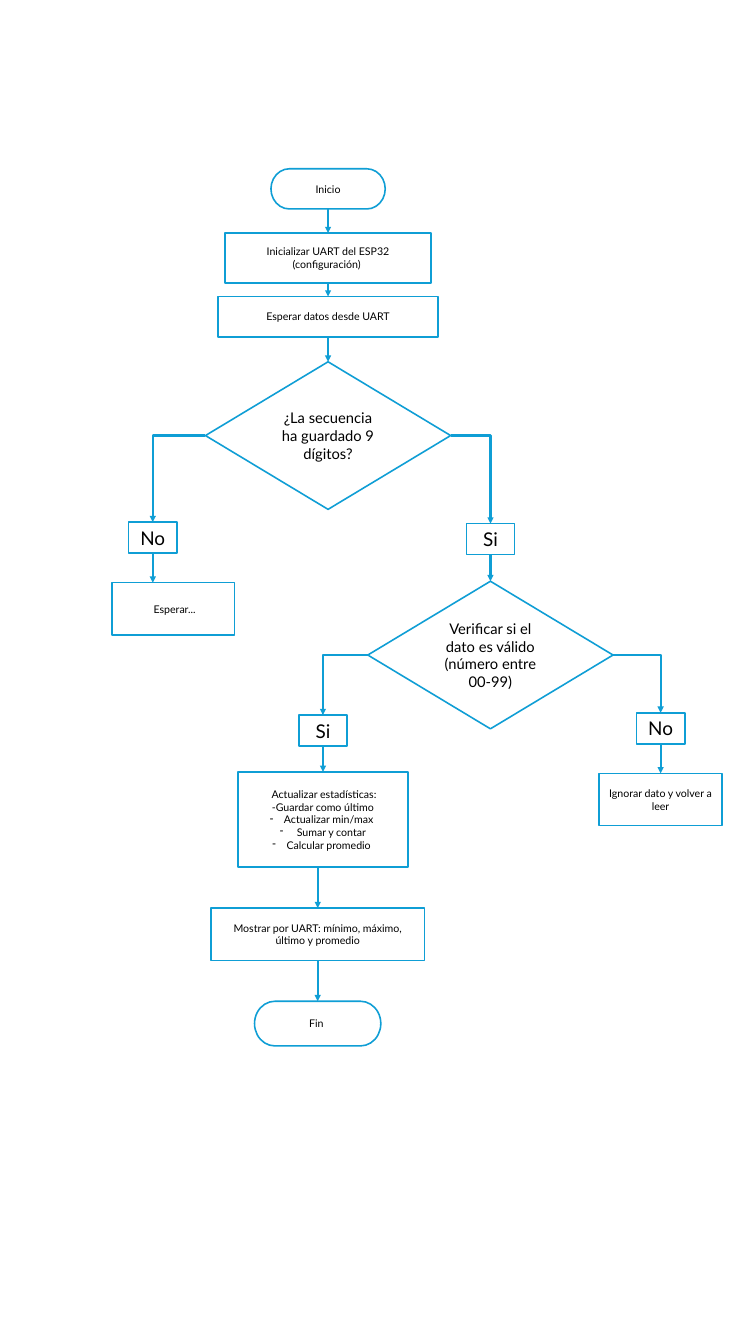
from dataclasses import dataclass
from lxml import etree
from pptx import Presentation
from pptx.dml.color import RGBColor
from pptx.enum import shapes, text
from pptx.oxml import ns
from pptx.util import Pt


@dataclass(frozen=True)
class Theme:
    font: str = "Lato"
    ink: str = "000000"
    paper: str = "FFFFFF"
    blue: str = "0F9ED5"
    small: float = 10.1
    body: float = 14
    large: float = 18
    edge: float = 1.5
    arrow: float = 2


@dataclass(frozen=True)
class Box:
    left: float
    top: float
    width: float
    height: float

    @property
    def mid(self):
        return self.left + self.width / 2


THEME = Theme()
PROCESS = shapes.MSO_SHAPE.FLOWCHART_PROCESS
ROUND = shapes.MSO_SHAPE.FLOWCHART_TERMINATOR
CHOICE = shapes.MSO_SHAPE.FLOWCHART_DECISION
STRAIGHT = shapes.MSO_CONNECTOR.STRAIGHT
ELBOW = shapes.MSO_CONNECTOR.ELBOW
TOP, LEFT, BOTTOM, RIGHT = range(4)
LABEL = (46, 29.5)
NOTE = (116.6, 49.7)
DIAMOND = (233.3, 140.4)


def write(shape, lines, size=THEME.small, first=None):
    frame = shape.text_frame
    frame.word_wrap = True
    frame.vertical_anchor = text.MSO_ANCHOR.MIDDLE
    for i, line in enumerate(lines):
        para = frame.paragraphs[0] if i == 0 else frame.add_paragraph()
        para.alignment = text.PP_ALIGN.CENTER
        run = para.add_run()
        run.text = line
        run.font.name = THEME.font
        run.font.size = Pt(size)
        run.font.color.rgb = RGBColor.from_string(THEME.ink)
        if first is not None and i >= first:
            props = para._p.get_or_add_pPr()
            props.set("marL", str(Pt(13.5)))
            props.set("indent", str(-Pt(13.5)))
            etree.SubElement(props, ns.qn("a:buChar")).set("char", "-")


def node(slide, kind, mid, top, area, *lines, **style):
    width, height = area
    shape = slide.shapes.add_shape(
        kind, Pt(mid - width / 2), Pt(top), Pt(width), Pt(height))
    shape.shadow.inherit = False
    shape.fill.solid()
    shape.fill.fore_color.rgb = RGBColor.from_string(THEME.paper)
    shape.line.color.rgb = RGBColor.from_string(THEME.blue)
    shape.line.width = Pt(THEME.edge)
    write(shape, lines, **style)
    return shape


def center(shape):
    return shape.left + shape.width // 2


def link(slide, kind, *points):
    wire = slide.shapes.add_connector(kind, *points)
    wire.line.color.rgb = RGBColor.from_string(THEME.blue)
    wire.line.width = Pt(THEME.arrow)
    head = etree.SubElement(wire.line._get_or_add_ln(), ns.qn("a:tailEnd"))
    head.set("type", "triangle")
    etree.SubElement(wire._element.spPr, ns.qn("a:effectLst"))
    return wire


def drop(slide, upper, lower, at=None):
    x = center(at or upper)
    wire = link(slide, STRAIGHT, x, upper.top + upper.height, x, lower.top)
    if abs(center(upper) - x) < Pt(2):
        wire.begin_connect(upper, BOTTOM)
    if abs(center(lower) - x) < Pt(2):
        wire.end_connect(lower, TOP)


def branch(slide, choice, label, side):
    x = choice.left + (choice.width if side == RIGHT else 0)
    y = choice.top + choice.height // 2
    wire = link(slide, ELBOW, x, y, center(label), label.top)
    wire._element.spPr.find(ns.qn("a:prstGeom")).set("prst", "bentConnector2")
    wire.begin_connect(choice, side)
    wire.end_connect(label, TOP)


def intro(slide, box):
    start = node(slide, ROUND, box.mid, box.top, (108.7, 38.2), "Inicio")
    setup = node(slide, PROCESS, box.mid, box.top + 61.2, (195.8, 47.5),
                 "Inicializar UART del ESP32 (configuración) ")
    wait = node(slide, PROCESS, box.mid, box.top + 121.6, (209.5, 38.2),
                "Esperar datos desde UART")
    choice = node(slide, CHOICE, box.mid, box.top + 183.6, DIAMOND,
                  "¿La secuencia ha guardado 9 dígitos?", size=THEME.body)
    drop(slide, start, setup)
    drop(slide, setup, wait)
    drop(slide, wait, choice)
    return choice


def pending(slide, box, choice):
    label = node(slide, PROCESS, box.mid - 19.5, box.top, LABEL, "No",
                 size=THEME.large)
    wait = node(slide, PROCESS, box.mid, box.top + 57.6, NOTE, " Esperar...")
    branch(slide, choice, label, LEFT)
    drop(slide, label, wait)


def verify(slide, box, choice):
    label = node(slide, PROCESS, box.mid, box.top, LABEL, "Si",
                 size=THEME.large)
    valid = node(slide, CHOICE, box.mid, box.top + 54.8, DIAMOND,
                 "Verificar si el dato es válido (número entre 00-99)",
                 size=THEME.body)
    branch(slide, choice, label, RIGHT)
    drop(slide, label, valid)
    return valid


def ignore(slide, box, choice):
    label = node(slide, PROCESS, box.mid, box.top, LABEL, "No",
                 size=THEME.large)
    skip = node(slide, PROCESS, box.mid, box.top + 57.6, NOTE,
                "Ignorar dato y volver a leer")
    branch(slide, choice, label, RIGHT)
    drop(slide, label, skip)


def result(slide, box, choice):
    label = node(slide, PROCESS, box.mid + 5, box.top, LABEL, "Si",
                 size=THEME.large)
    stats = node(slide, PROCESS, box.mid + 5, box.top + 54, (161.3, 90.7),
                 " Actualizar estadísticas:", "-Guardar como último",
                 "Actualizar min/max ", " Sumar y contar",
                 "Calcular promedio ", first=2)
    show = node(slide, PROCESS, box.mid, box.top + 183.6, (203, 49.7),
                "Mostrar por UART: mínimo, máximo, último y promedio")
    finish = node(slide, ROUND, box.mid, box.top + 272.2, (120.2, 42.5),
                  "Fin ")
    branch(slide, choice, label, LEFT)
    drop(slide, label, stats)
    drop(slide, stats, show, at=show)
    drop(slide, show, finish)


def main():
    deck = Presentation()
    deck.slide_width, deck.slide_height = Pt(719.3), Pt(1278.7)
    slide = deck.slides.add_slide(deck.slide_layouts[6])
    full = intro(slide, Box(195.5, 160.6, 233.3, 324))
    pending(slide, Box(106.6, 496.8, 116.6, 107.3), full)
    valid = verify(slide, Box(350, 498.2, 233.3, 195.2), full)
    ignore(slide, Box(570.2, 678.2, 116.6, 107.3), valid)
    result(slide, Box(200.8, 680.4, 203, 314.7), valid)
    deck.save("out.pptx")


if __name__ == "__main__":
    main()
